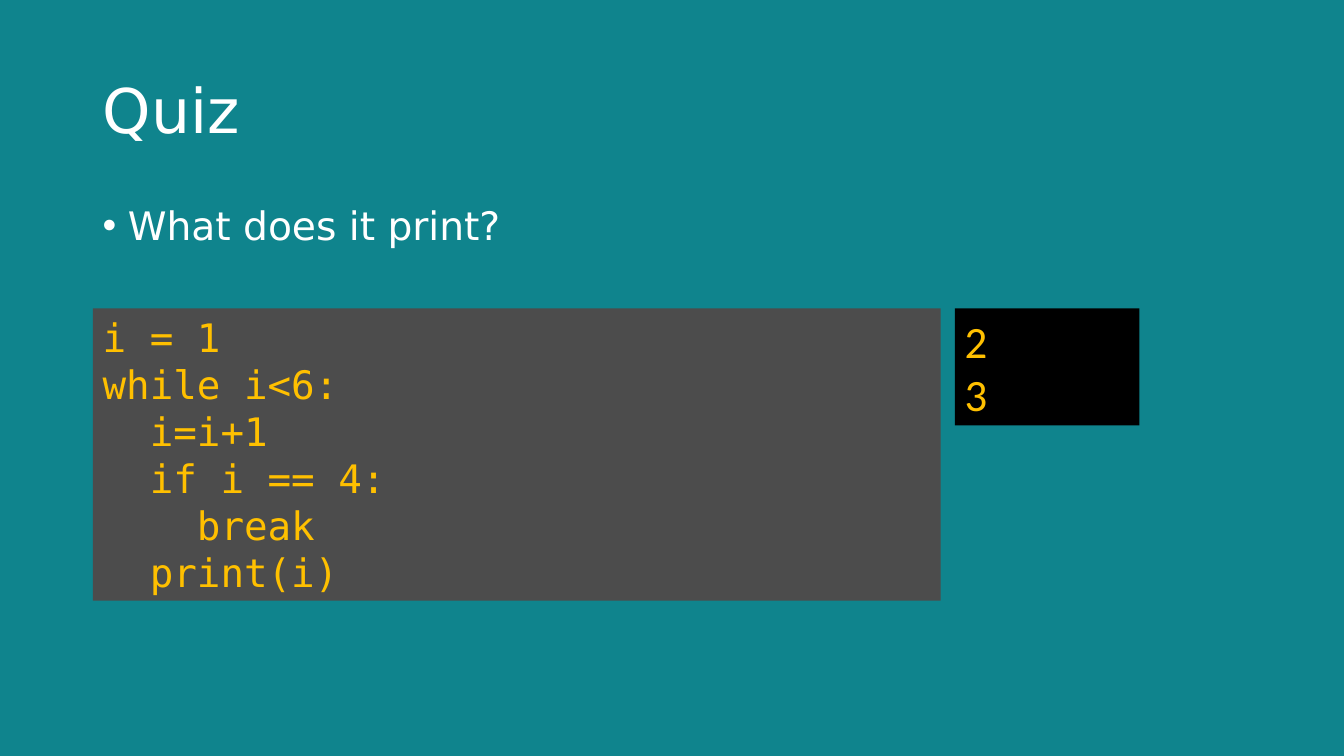
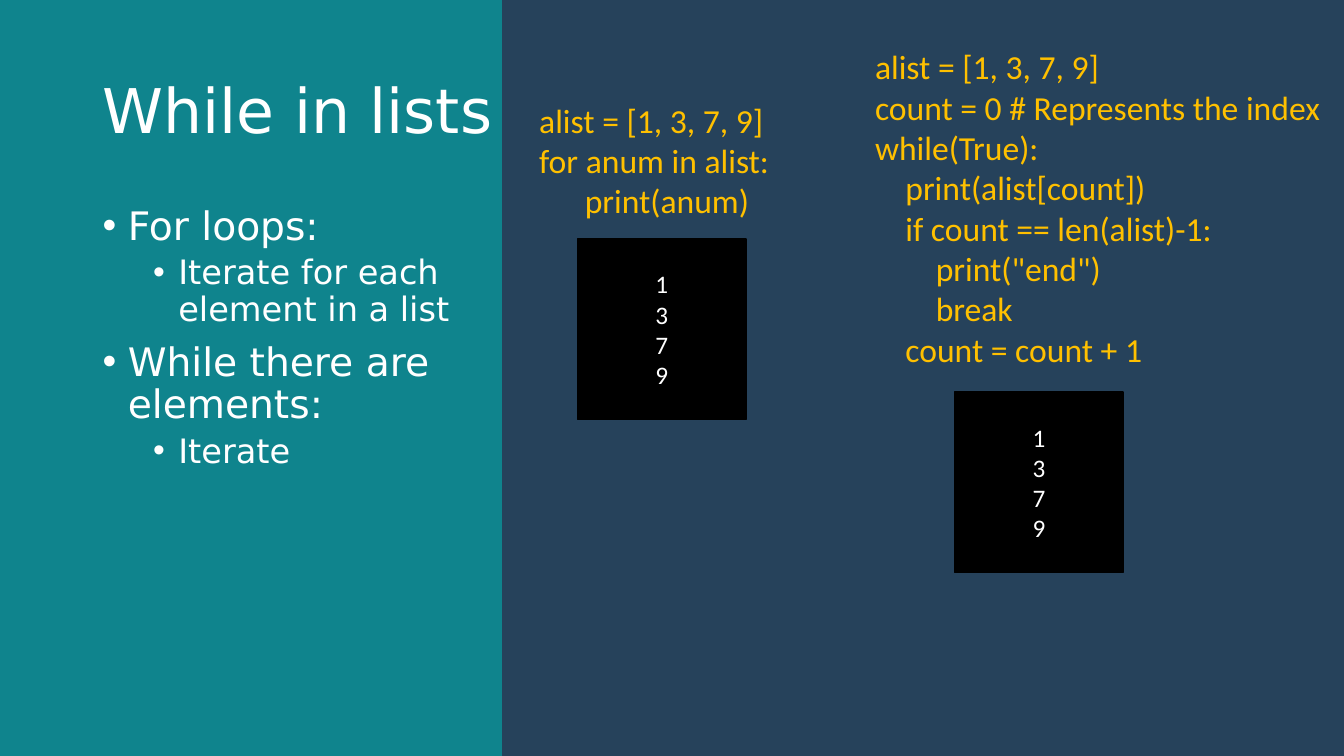
from lxml import etree
from pptx import Presentation
from pptx.dml.color import RGBColor
from pptx.enum.shapes import MSO_SHAPE
from pptx.enum.text import MSO_ANCHOR, PP_ALIGN
from pptx.oxml.ns import qn
from pptx.util import Inches, Pt

RECTANGLE = MSO_SHAPE.RECTANGLE
TOP, MIDDLE = MSO_ANCHOR.TOP, MSO_ANCHOR.MIDDLE
LEFT, CENTER = PP_ALIGN.LEFT, PP_ALIGN.CENTER

TEAL = RGBColor(0x0F, 0x84, 0x8D)
NAVY = RGBColor(0x26, 0x42, 0x5B)
GRAY = RGBColor(0x4C, 0x4C, 0x4C)
BLACK = RGBColor(0x00, 0x00, 0x00)
WHITE = RGBColor(0xFF, 0xFF, 0xFF)
AMBER = RGBColor(0xFF, 0xC0, 0x00)

SANS, MONO, CALIBRI = "DejaVu Sans", "DejaVu Sans Mono", "Calibri"

PAGE_WIDTH, PAGE_HEIGHT = 13.33, 7.5
MARGIN = 0.92
CONTENT_WIDTH = 11.5
OUTPUT_LEFT = 9.47
BULLET_STYLES = [  # size, text indent, space before
    (28, 0.25, 10),
    (24, 0.75, 5),
]

QUIZ_CODE = """i = 1
while i<6:
  i=i+1
  if i == 4:
    break
  print(i)"""

FOR_CODE = """alist = [1, 3, 7, 9]
for anum in alist:
      print(anum)"""

WHILE_CODE = """alist = [1, 3, 7, 9]
count = 0 # Represents the index
while(True):
    print(alist[count])
    if count == len(alist)-1:
        print("end")
        break
    count = count + 1"""

LIST_OUTPUT = "1\n3\n7\n9"


def set_font(paragraph, name, size, color):
    font = paragraph.font
    font.name = name
    font.size = Pt(size)
    font.color.rgb = color


def add_panel(page, left, top, width, height, fill):
    panel = page.shapes.add_shape(
        RECTANGLE, Inches(left), Inches(top), Inches(width), Inches(height))
    panel.shadow.inherit = False
    panel.fill.solid()
    panel.fill.fore_color.rgb = fill
    panel.line.fill.background()
    return panel


def add_text_box(page, left, top, width, height):
    return page.shapes.add_textbox(
        Inches(left), Inches(top), Inches(width), Inches(height))


def write_lines(box, text, font_name, size, color, align=LEFT, anchor=TOP):
    """Fill a box with one paragraph for each line of text."""
    frame = box.text_frame
    frame.word_wrap = True
    frame.vertical_anchor = anchor
    frame.text = text
    for paragraph in frame.paragraphs:
        paragraph.alignment = align
        set_font(paragraph, font_name, size, color)


def add_titled_page(deck, title):
    page = deck.slides.add_slide(deck.slide_layouts[6])
    page.background.fill.solid()
    page.background.fill.fore_color.rgb = TEAL
    box = add_text_box(page, MARGIN, 0.4, CONTENT_WIDTH, 1.45)
    write_lines(box, title, SANS, 44, WHITE, anchor=MIDDLE)
    box.text_frame.paragraphs[0].line_spacing = 0.9
    return page


def add_bullet(paragraph, indent):
    properties = paragraph._p.get_or_add_pPr()
    properties.set("marL", str(Inches(indent)))
    properties.set("indent", str(Inches(-0.25)))
    color = etree.SubElement(properties, qn("a:buClr"))
    etree.SubElement(color, qn("a:srgbClr"), val=str(WHITE))
    etree.SubElement(properties, qn("a:buFont"), typeface="Arial")
    etree.SubElement(properties, qn("a:buChar"), char="•")


def add_bullet_list(page, width, items):
    """Place (level, text) items below the title."""
    frame = add_text_box(page, MARGIN, 2, width, 4.75).text_frame
    frame.word_wrap = True
    for index, (level, text) in enumerate(items):
        paragraph = frame.add_paragraph() if index else frame.paragraphs[0]
        size, indent, space_before = BULLET_STYLES[level]
        paragraph.text = text
        paragraph.level = level
        add_bullet(paragraph, indent)
        paragraph.line_spacing = 0.9
        if index:
            paragraph.space_before = Pt(space_before)
        set_font(paragraph, SANS, size, WHITE)


def add_list_example(page, code, code_box, output_left, output_top):
    """Show code with the black box of its output."""
    write_lines(add_text_box(page, *code_box), code, CALIBRI, 24, AMBER)
    output = add_panel(page, output_left, output_top, 1.67, 1.79, BLACK)
    output.line.color.rgb = BLACK
    output.line.width = Pt(1)
    write_lines(output, LIST_OUTPUT, CALIBRI, 18, WHITE, CENTER, MIDDLE)


def build_quiz(deck):
    page = add_titled_page(deck, "Quiz")
    add_bullet_list(page, CONTENT_WIDTH, [(0, "What does it print?")])
    code = add_panel(page, MARGIN, 3.06, 8.41, 2.9, GRAY)
    write_lines(code, QUIZ_CODE, MONO, 28, AMBER)
    output = add_panel(page, OUTPUT_LEFT, 3.06, 1.83, 1.16, BLACK)
    write_lines(output, "2\n3", CALIBRI, 32, AMBER)


def build_while_in_lists(deck):
    page = add_titled_page(deck, "While in lists")
    add_bullet_list(page, 4.2, [
        (0, "For loops:"),
        (1, "Iterate for each element in a list"),
        (0, "While there are elements:"),
        (1, "Iterate"),
    ])
    band_left = 4.98
    add_panel(page, band_left, 0, PAGE_WIDTH - band_left, PAGE_HEIGHT, NAVY)
    add_list_example(page, FOR_CODE, (5.25, 0.94, 3.2, 1.3), 5.73, 2.37)
    add_list_example(page, WHILE_CODE, (8.58, 0.41, 4.75, 3.3),
                     OUTPUT_LEFT, 3.89)


def main():
    deck = Presentation()
    deck.slide_width = Inches(PAGE_WIDTH)
    deck.slide_height = Inches(PAGE_HEIGHT)
    build_quiz(deck)
    build_while_in_lists(deck)
    deck.save("out.pptx")


if __name__ == "__main__":
    main()
